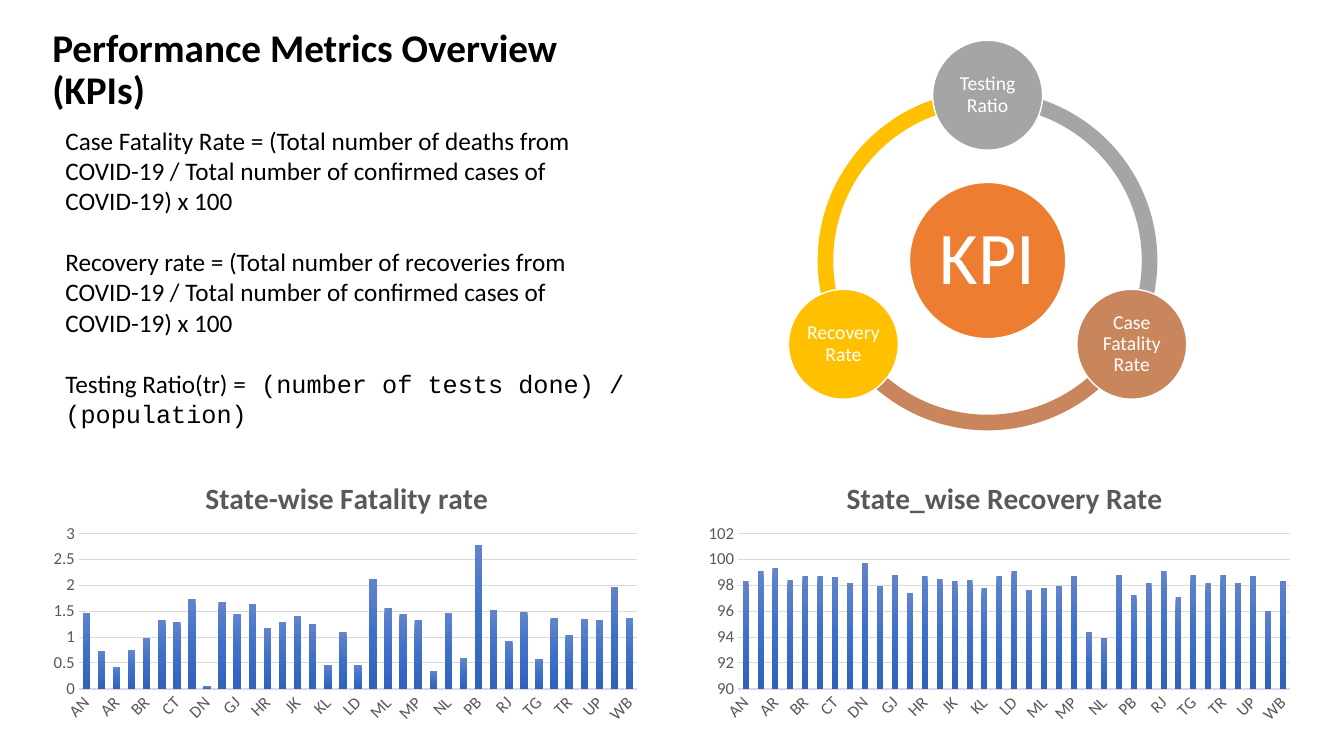
from copy import deepcopy
from dataclasses import dataclass

from lxml import etree
from pptx import Presentation
from pptx import util as u
from pptx.chart.data import CategoryChartData
from pptx.dml.color import RGBColor
from pptx.enum import chart as charts
from pptx.enum import shapes, text
from pptx.oxml.ns import qn

PX = 9144
COLORS = {
    "ink": "000000", "white": "FFFFFF", "axis": "595959", "grid": "D9D9D9",
    "kpi": "ED7D31", "testing": "A5A5A5", "fatality": "C9855C", "recovery": "FFC000",
}
BAR_GRADIENT = ((0, "6183CB"), (0.5, "3E70CA"), (1, "3062BB"))
STATES = ("AN AP AR AS BR CH CT DL DN GA GJ HP HR JH JK KA KL LA LD MH ML MN MP MZ "
          "NL OR PB PY RJ SK TG TN TR TT UP UT WB").split()


@dataclass(frozen=True)
class Arc:
    color: str
    start: float
    end: float


@dataclass(frozen=True)
class Node:
    label: str
    color: str
    left: int
    top: int
    diameter: int
    font_size: int
    inset: int


@dataclass(frozen=True)
class RateChart:
    title: str
    title_left: float
    left: int
    plot_left: float
    plot_width: float
    minimum: float
    maximum: float
    step: float
    gap: int
    overlap: int
    values: tuple


ARCS = (
    Arc("recovery", 90, 162),
    Arc("fatality", 18, 90),
    Arc("testing", 162, 18),
)
NODES = (
    Node("KPI", "kpi", 902, 181, 155, 53, 7),
    Node("Testing Ratio", "testing", 925, 40, 109, 14, 2),
    Node("Case Fatality Rate", "fatality", 1068, 287, 109, 14, 2),
    Node("Recovery Rate", "recovery", 782, 287, 109, 14, 2),
)
CHARTS = (
    RateChart("State-wise Fatality rate", 0.26, 42, 0.06, 0.92, 0, 3, 0.5, 100, -24, (
        1.47, 0.73, 0.42, 0.75, 0.99, 1.33, 1.29, 1.73, 0.05, 1.68, 1.44, 1.64, 1.17,
        1.29, 1.41, 1.25, 0.47, 1.09, 0.46, 2.12, 1.55, 1.45, 1.32, 0.34, 1.47, 0.6,
        2.77, 1.52, 0.92, 1.48, 0.58, 1.36, 1.03, 1.34, 1.33, 1.96, 1.37)),
    RateChart("State_wise Recovery Rate", 0.24, 690, 0.07, 0.91, 90, 102, 2, 150, 0, (
        98.3, 99.1, 99.3, 98.4, 98.7, 98.7, 98.6, 98.2, 99.7, 97.9, 98.8, 97.4, 98.7,
        98.5, 98.3, 98.4, 97.8, 98.7, 99.1, 97.6, 97.8, 97.9, 98.7, 94.4, 93.9, 98.8,
        97.2, 98.2, 99.1, 97.1, 98.8, 98.2, 98.8, 98.2, 98.7, 96, 98.3)),
)
DEFINITIONS = (
    (("Case Fatality Rate = (Total number of deaths from COVID-19 / "
      "Total number of confirmed cases of COVID-19) x 100", "Calibri"),),
    (("Recovery rate = (Total number of recoveries from COVID-19 / "
      "Total number of confirmed cases of COVID-19) x 100", "Calibri"),),
    (("Testing Ratio(tr) =", "Calibri"),
     (" (number of tests done) / (population)", "Courier New")),
)


def px(*lengths: int) -> list:
    return [u.Emu(length * PX) for length in lengths]


def rgb(name: str) -> RGBColor:
    return RGBColor.from_string(COLORS[name])


def apply(target, **values) -> None:
    for name, value in values.items():
        setattr(target, name, value)


def style_font(font, size: int, color: str, name: str = "Calibri", bold: bool = False) -> None:
    apply(font, size=u.Pt(size), name=name, bold=bold)
    font.color.rgb = rgb(color)


def set_layout(element, target: str, **fractions: float) -> None:
    for old in element.findall(qn("c:layout")):
        element.remove(old)
    layout = etree.Element(qn("c:layout"))
    manual = etree.SubElement(layout, qn("c:manualLayout"))
    if target:
        etree.SubElement(manual, qn("c:layoutTarget")).set("val", target)
    for key in ("x", "y"):
        etree.SubElement(manual, qn(f"c:{key}Mode")).set("val", "edge")
    for key, value in fractions.items():
        etree.SubElement(manual, qn(f"c:{key}")).set("val", str(value))
    rich = element.find(qn("c:tx"))
    element.insert(0 if rich is None else element.index(rich) + 1, layout)


def add_arc(group, arc: Arc) -> None:
    shape = group.shapes.add_shape(shapes.MSO_SHAPE.BLOCK_ARC, *px(811, 90, 337, 337))
    shape.shadow.inherit = False
    for index, value in enumerate((arc.start, arc.end, 0.046)):
        shape.adjustments[index] = value
    shape.fill.solid()
    shape.fill.fore_color.rgb = rgb(arc.color)
    shape.line.fill.background()


def add_node(group, node: Node) -> None:
    shape = group.shapes.add_shape(
        shapes.MSO_SHAPE.OVAL, *px(node.left, node.top, node.diameter, node.diameter))
    shape.shadow.inherit = False
    shape.fill.solid()
    shape.fill.fore_color.rgb = rgb(node.color)
    shape.line.color.rgb = rgb("white")
    shape.line.width = u.Pt(1)
    frame = shape.text_frame
    inset = px(node.inset)[0]
    apply(frame, word_wrap=True, vertical_anchor=text.MSO_ANCHOR.MIDDLE, margin_left=inset,
          margin_right=inset, margin_top=inset, margin_bottom=inset)
    paragraph = frame.paragraphs[0]
    apply(paragraph, text=node.label, alignment=text.PP_ALIGN.CENTER, line_spacing=0.9)
    style_font(paragraph.runs[0].font, node.font_size, "white")


def add_rate_chart(slide, rate: RateChart) -> None:
    data = CategoryChartData()
    data.categories = STATES
    data.add_series("Series 1", rate.values)
    chart = slide.shapes.add_chart(
        charts.XL_CHART_TYPE.COLUMN_CLUSTERED, *px(rate.left, 449, 602, 276), data).chart
    style_font(chart.font, 10, "ink")
    apply(chart, has_legend=False, has_title=True)
    frame = chart.chart_title.text_frame
    frame.text = rate.title
    style_font(frame.paragraphs[0].runs[0].font, 21, "axis", bold=True)
    set_layout(chart.chart_title._element, "", x=rate.title_left, y=0.07)
    set_layout(chart._chartSpace.chart.plotArea, "inner",
               x=rate.plot_left, y=0.29, w=rate.plot_width, h=0.56)
    for axis in (chart.category_axis, chart.value_axis):
        apply(axis, major_tick_mark=charts.XL_TICK_MARK.NONE,
              minor_tick_mark=charts.XL_TICK_MARK.NONE)
        style_font(axis.tick_labels.font, 12, "axis")
    states, scale = chart.category_axis, chart.value_axis
    states._element.find(qn("c:txPr")).find(qn("a:bodyPr")).set("rot", "-2700000")
    apply(scale, minimum_scale=rate.minimum, maximum_scale=rate.maximum,
          major_unit=rate.step, has_major_gridlines=True)
    scale.format.line.fill.background()
    for line, width in ((states.format.line, 1), (scale.major_gridlines.format.line, 0.75)):
        line.color.rgb = rgb("grid")
        line.width = u.Pt(width)
    plot = chart.plots[0]
    apply(plot, gap_width=rate.gap, overlap=rate.overlap, vary_by_categories=False)
    series = plot.series[0]
    series.invert_if_negative = False
    fill = series.format.fill
    fill.gradient()
    fill.gradient_angle = 270
    stops = series._element.find(".//" + qn("a:gsLst"))
    stops.append(deepcopy(stops[-1]))
    for stop, (position, color) in zip(fill.gradient_stops, BAR_GRADIENT):
        stop.position = position
        stop.color.rgb = RGBColor.from_string(color)


def add_title(slide) -> None:
    frame = slide.shapes.add_textbox(*px(42, 40, 602, 60)).text_frame
    apply(frame, word_wrap=True, vertical_anchor=text.MSO_ANCHOR.MIDDLE)
    paragraph = frame.paragraphs[0]
    apply(paragraph, text="Performance Metrics Overview (KPIs)", line_spacing=0.9)
    style_font(paragraph.runs[0].font, 28, "ink", bold=True)


def add_definitions(slide) -> None:
    frame = slide.shapes.add_textbox(*px(55, 119, 588, 283)).text_frame
    frame.word_wrap = True
    for index, parts in enumerate(DEFINITIONS):
        paragraph = frame.add_paragraph() if index else frame.paragraphs[0]
        if index:
            paragraph.space_before = u.Pt(22)
        for words, font_name in parts:
            run = paragraph.add_run()
            run.text = words
            style_font(run.font, 18, "ink", font_name)


def main() -> None:
    presentation = Presentation()
    apply(presentation, slide_width=px(1333)[0], slide_height=px(750)[0])
    slide = presentation.slides.add_slide(presentation.slide_layouts[6])
    cycle = slide.shapes.add_group_shape()
    for arc in ARCS:
        add_arc(cycle, arc)
    for node in NODES:
        add_node(cycle, node)
    for rate in CHARTS:
        add_rate_chart(slide, rate)
    add_title(slide)
    add_definitions(slide)
    presentation.save("out.pptx")


if __name__ == "__main__":
    main()
